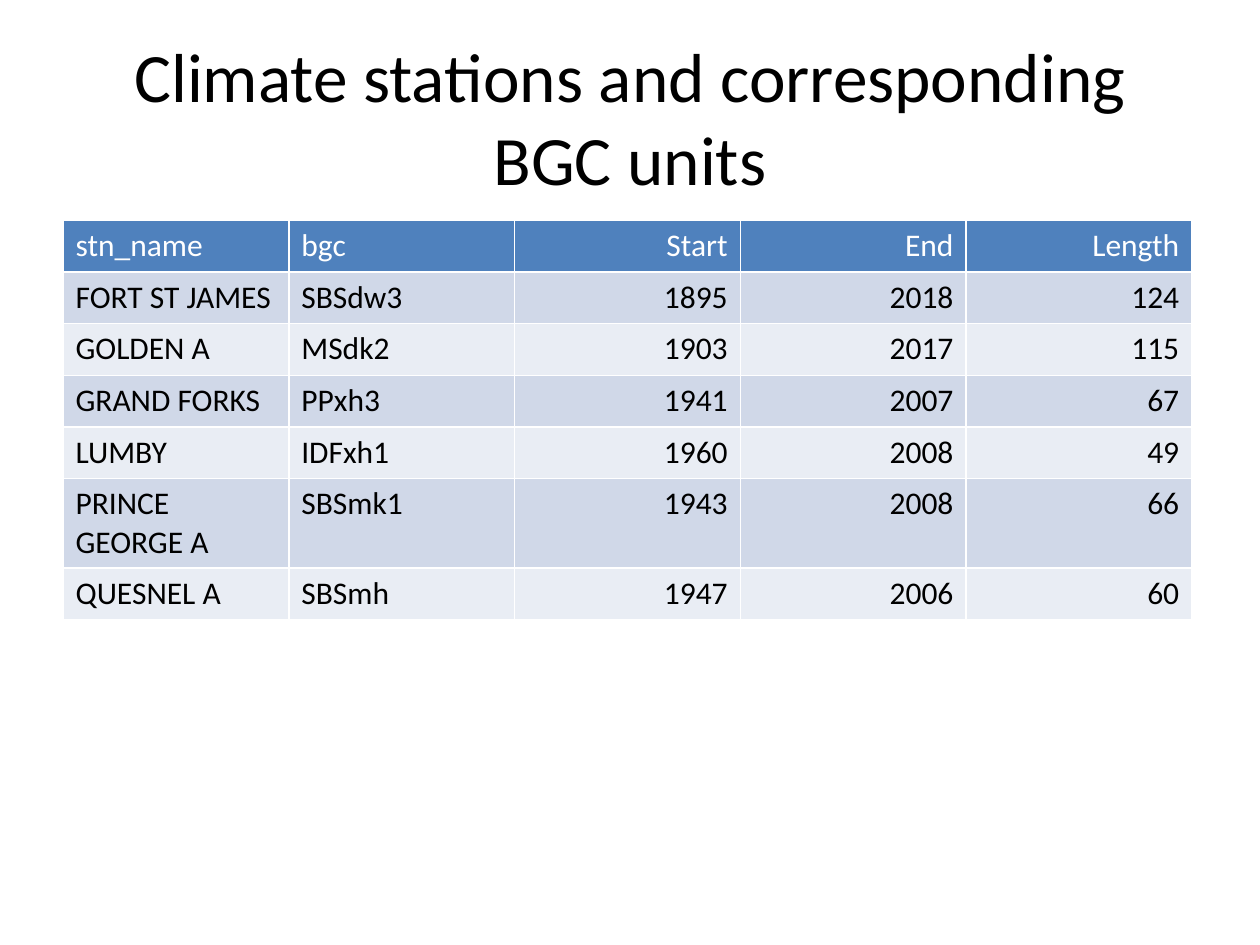
from typing import NamedTuple

from pptx import Presentation
from pptx import util as u
from pptx.dml.color import RGBColor
from pptx.enum import text

SLIDE_WIDTH, SLIDE_HEIGHT = u.Inches(10), u.Inches(7.5)
HEADER_FILL, BAND_FILLS = "4F81BD", ("D0D8E8", "E9EDF4")
HEADER_INK, INK = "FFFFFF", "000000"


class Area(NamedTuple):
    """A rectangle in shares of the slide's size."""
    left: float
    top: float
    width: float
    height: float


class Station(NamedTuple):
    """A climate station, its BGC unit and its years of record."""
    stn_name: str
    bgc: str
    Start: int
    End: int
    Length: int


TITLE_AREA = Area(0.05, 0.04, 0.9, 1 / 6)
TABLE_AREA = Area(0.05, 1.75 / 7.5, 0.896, 3.15 / 7.5)
ROW_SHARES = [0.13] * 5 + [0.22, 0.13]
STATIONS = [
    Station("FORT ST JAMES", "SBSdw3", 1895, 2018, 124),
    Station("GOLDEN A", "MSdk2", 1903, 2017, 115),
    Station("GRAND FORKS", "PPxh3", 1941, 2007, 67),
    Station("LUMBY", "IDFxh1", 1960, 2008, 49),
    Station("PRINCE GEORGE A", "SBSmk1", 1943, 2008, 66),
    Station("QUESNEL A", "SBSmh", 1947, 2006, 60),
]


def color(code: str) -> RGBColor:
    """Turn a hex string into a colour."""
    return RGBColor.from_string(code)


def place(area: Area) -> dict[str, int]:
    """Turn shares of the slide into lengths."""
    sizes = (SLIDE_WIDTH, SLIDE_HEIGHT) * 2
    return {side: round(share * size)
            for (side, share), size in zip(area._asdict().items(), sizes)}


def apply(target, values: dict) -> None:
    """Set each named value on the target."""
    for name, value in values.items():
        setattr(target, name, value)


def write(frame, words: str, size: float, ink: str, align) -> None:
    """Fill a text frame with one formatted paragraph."""
    frame.text = words
    paragraph = frame.paragraphs[0]
    paragraph.alignment = align
    font = paragraph.runs[0].font
    apply(font, {"name": "Calibri", "size": u.Pt(size), "bold": False})
    font.color.rgb = color(ink)


def draw_title(slide, words: str) -> None:
    """Place and format the title placeholder."""
    title = slide.shapes.title
    apply(title, place(TITLE_AREA))
    write(title.text_frame, words, 39.6, INK, text.PP_ALIGN.CENTER)
    apply(title.text_frame, {"word_wrap": True,
                             "auto_size": text.MSO_AUTO_SIZE.NONE,
                             "vertical_anchor": text.MSO_ANCHOR.MIDDLE})


def draw_stations(slide, stations: list[Station]) -> None:
    """Draw the station table with a header and alternating bands."""
    records = [Station._fields, *stations]
    bounds = place(TABLE_AREA)
    table = slide.shapes.add_table(len(records), len(Station._fields), **bounds).table
    for row, share in zip(table.rows, ROW_SHARES):
        row.height = round(bounds["height"] * share)
    for row, record in enumerate(records):
        fill = BAND_FILLS[(row - 1) % 2] if row else HEADER_FILL
        for column, value in enumerate(record):
            cell = table.cell(row, column)
            cell.fill.solid()
            cell.fill.fore_color.rgb = color(fill)
            align = text.PP_ALIGN.LEFT if column < 2 else text.PP_ALIGN.RIGHT
            write(cell.text_frame, str(value), 18, INK if row else HEADER_INK, align)


def main() -> None:
    """Build and save the slide."""
    deck = Presentation()
    apply(deck, {"slide_width": SLIDE_WIDTH, "slide_height": SLIDE_HEIGHT})
    slide = deck.slides.add_slide(deck.slide_layouts.get_by_name("Title Only"))
    draw_title(slide, "Climate stations and corresponding BGC units")
    draw_stations(slide, STATIONS)
    deck.save("out.pptx")


if __name__ == "__main__":
    main()
